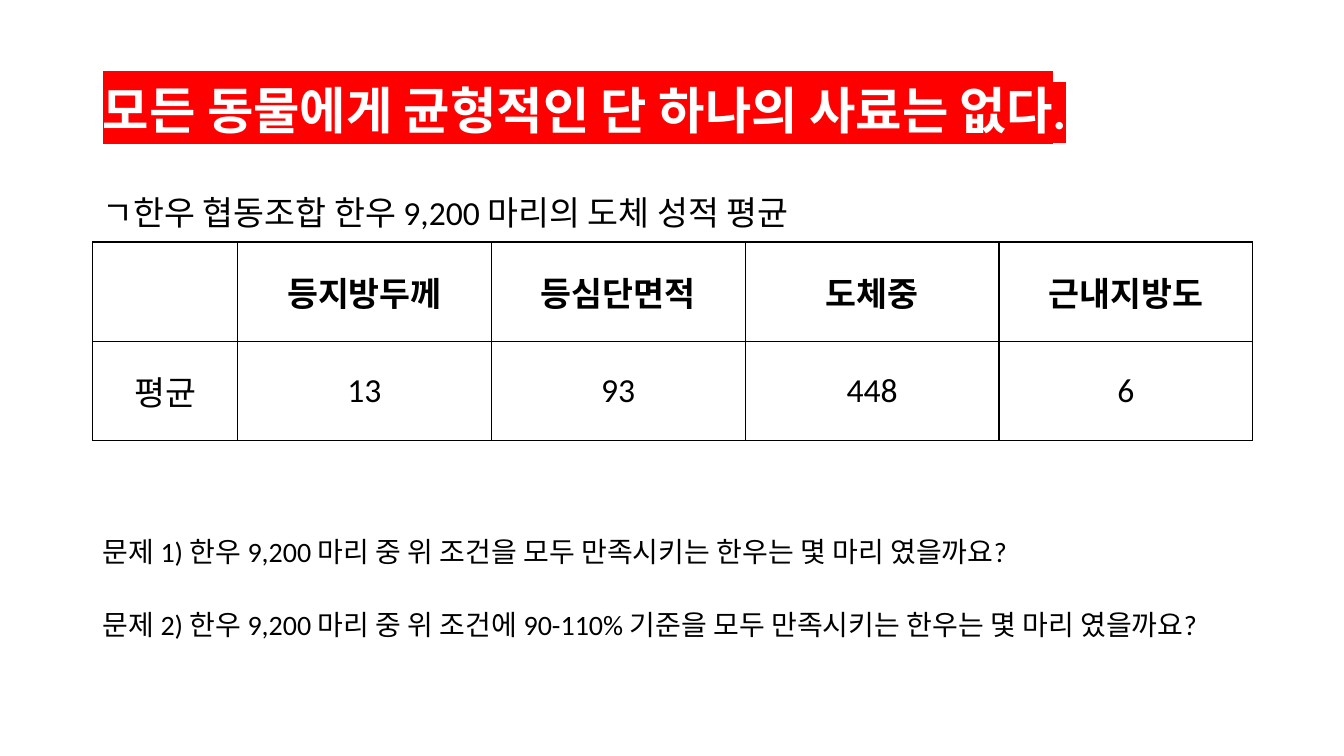
from dataclasses import dataclass

import lxml.etree
import pptx
import pptx.dml.color
import pptx.enum.text
import pptx.oxml.ns
import pptx.util

BLACK = pptx.dml.color.RGBColor(0x00, 0x00, 0x00)
WHITE = pptx.dml.color.RGBColor(0xFF, 0xFF, 0xFF)
RED = pptx.dml.color.RGBColor(0xFF, 0x00, 0x00)

FONT = "Calibri"
SLIDE_W = pptx.util.Inches(13.33)
SLIDE_H = pptx.util.Inches(7.5)
LEFT = int(SLIDE_W * 0.069)
CONTENT_W = SLIDE_W - 2 * LEFT
LABEL_COL_W = CONTENT_W // 8
VALUE_COL_W = int(CONTENT_W * 0.2191)
ROW_H = int(SLIDE_H * 0.1313)

TITLE = "모든 동물에게 균형적인 단 하나의 사료는 없다."
CARCASS_ROWS = [
    ["", "등지방두께", "등심단면적", "도체중", "근내지방도"],
    ["평균", "13", "93", "448", "6"],
]


@dataclass
class Line:
    """A line of text; top, width and height are shares of the slide."""

    text: str
    top: float
    width: float
    height: float
    size: int
    wrap: bool


LINES = [
    Line("ㄱ한우 협동조합 한우 9,200 마리의 도체 성적 평균", 0.247, 0.862, 0.067, 24, True),
    Line("문제 1) 한우 9,200 마리 중 위 조건을 모두 만족시키는 한우는 몇 마리 였을까요?",
         0.7, 0.736, 0.058, 20, False),
    Line("문제 2) 한우 9,200 마리 중 위 조건에 90-110% 기준을 모두 만족시키는 한우는 몇 마리 였을까요?",
         0.797, 0.888, 0.058, 20, False),
]


def format_runs(p, size: int, color: pptx.dml.color.RGBColor, bold: bool = False) -> None:
    for r in p.runs:
        r.font.name = FONT
        r.font.size = pptx.util.Pt(size)
        r.font.bold = bold
        r.font.color.rgb = color


def highlight(r, color: pptx.dml.color.RGBColor) -> None:
    """Mark a run; the highlight element must directly follow its fill."""
    qn = pptx.oxml.ns.qn
    mark = lxml.etree.Element(qn("a:highlight"))
    lxml.etree.SubElement(mark, qn("a:srgbClr"), val=str(color))
    r.font._element.find(qn("a:solidFill")).addnext(mark)


def border_cell(cell) -> None:
    """Draw a thin black line on all four sides, ahead of the cell's fill."""
    qn = pptx.oxml.ns.qn
    tcPr = cell._tc.get_or_add_tcPr()
    for i, side in enumerate(("a:lnL", "a:lnR", "a:lnT", "a:lnB")):
        ln = lxml.etree.Element(qn(side), w=str(pptx.util.Pt(1)))
        fill = lxml.etree.SubElement(ln, qn("a:solidFill"))
        lxml.etree.SubElement(fill, qn("a:srgbClr"), val=str(BLACK))
        tcPr.insert(i, ln)


def add_title(slide) -> None:
    sp = slide.shapes.title
    sp.left, sp.top = LEFT, int(SLIDE_H * 0.0533)
    sp.width, sp.height = CONTENT_W, int(SLIDE_H * 0.1933)
    tf = sp.text_frame
    tf.text = TITLE
    tf.auto_size = pptx.enum.text.MSO_AUTO_SIZE.NONE
    tf.vertical_anchor = pptx.enum.text.MSO_ANCHOR.MIDDLE
    p = tf.paragraphs[0]
    p.alignment = pptx.enum.text.PP_ALIGN.LEFT
    p.line_spacing = 0.9
    format_runs(p, 36, WHITE, bold=True)
    highlight(p.runs[0], RED)


def add_line(slide, line: Line) -> None:
    sp = slide.shapes.add_textbox(LEFT, int(SLIDE_H * line.top),
                                  int(SLIDE_W * line.width), int(SLIDE_H * line.height))
    tf = sp.text_frame
    tf.text = line.text
    tf.word_wrap = line.wrap
    tf.auto_size = pptx.enum.text.MSO_AUTO_SIZE.SHAPE_TO_FIT_TEXT
    format_runs(tf.paragraphs[0], line.size, BLACK)


def add_carcass_table(slide) -> None:
    n_rows, n_cols = len(CARCASS_ROWS), len(CARCASS_ROWS[0])
    table = slide.shapes.add_table(n_rows, n_cols, LEFT, int(SLIDE_H * 0.32),
                                   CONTENT_W, n_rows * ROW_H).table
    table.first_row = table.horz_banding = False
    for i, column in enumerate(table.columns):
        column.width = VALUE_COL_W if i else LABEL_COL_W
    for i, texts in enumerate(CARCASS_ROWS):
        table.rows[i].height = ROW_H
        for j, text in enumerate(texts):
            cell = table.cell(i, j)
            cell.text_frame.text = text
            cell.vertical_anchor = pptx.enum.text.MSO_ANCHOR.MIDDLE
            cell.fill.background()
            border_cell(cell)
            p = cell.text_frame.paragraphs[0]
            p.alignment = pptx.enum.text.PP_ALIGN.CENTER
            format_runs(p, 24, BLACK, bold=i == 0)


def main() -> None:
    prs = pptx.Presentation()
    prs.slide_width, prs.slide_height = SLIDE_W, SLIDE_H
    slide = prs.slides.add_slide(prs.slide_layouts.get_by_name("Title Only"))
    add_title(slide)
    add_carcass_table(slide)
    for line in LINES:
        add_line(slide, line)
    prs.save("out.pptx")


if __name__ == "__main__":
    main()
